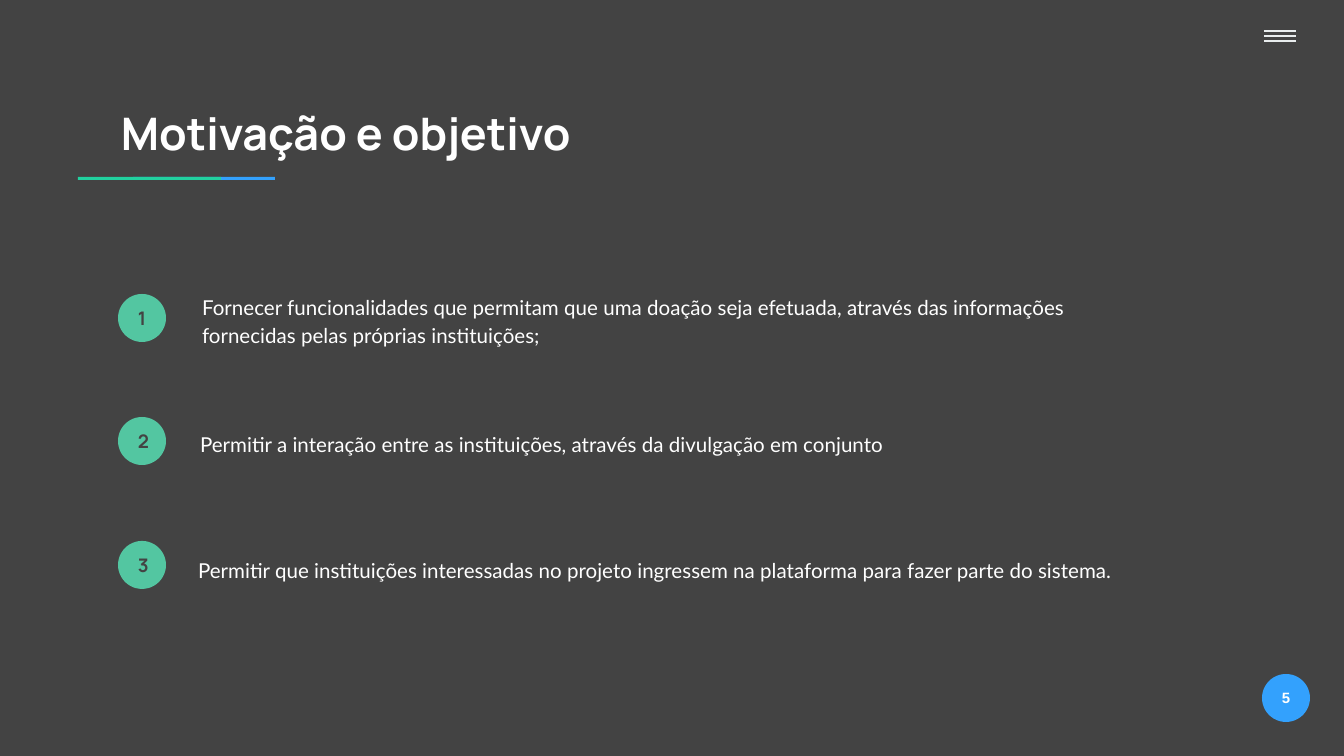
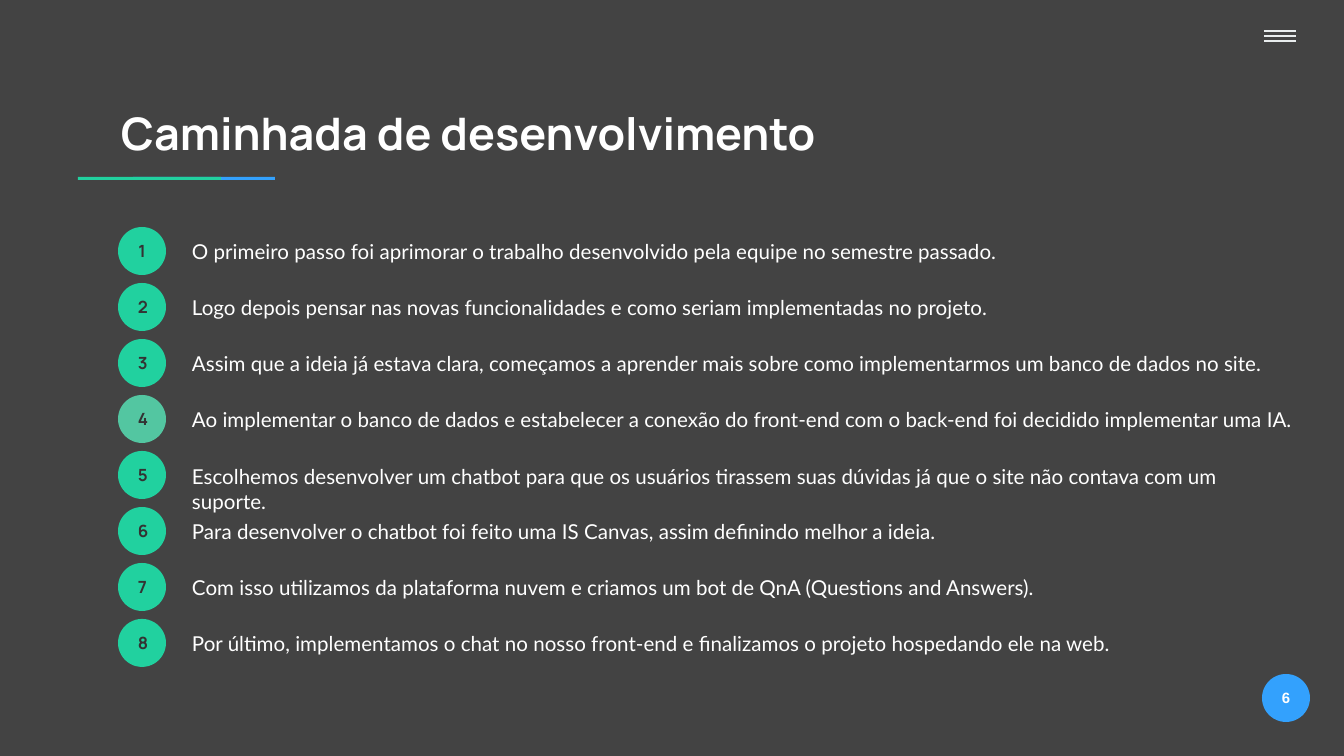
from dataclasses import dataclass

from lxml.etree import SubElement
from pptx import Presentation
from pptx.dml.color import RGBColor
from pptx.enum.shapes import MSO_CONNECTOR as Connector, MSO_SHAPE as Shape
from pptx.enum.text import MSO_ANCHOR as Anchor, MSO_AUTO_SIZE as AutoSize, PP_ALIGN as Align
from pptx.oxml.ns import qn
from pptx.util import Emu, Pt

WIDTH, HEIGHT = 1344, 756
SCALE = 9144000 / WIDTH


def px(length):
    return Emu(round(length * SCALE))


@dataclass(frozen=True)
class Theme:
    ground: str = "434343"
    ink: str = "333333"
    white: str = "FFFFFF"
    menu: str = "E9EDEE"
    blue: str = "33A1FD"
    green: str = "21D19F"
    soft_green: str = "53C6A1"
    heading_font: str = "Manrope"
    body_font: str = "Lato"
    page_font: str = "Arial"
    title_size: int = 24
    body_size: int = 11
    goal_size: int = 10
    step_size: int = 9
    page_size: int = 8
    inset: int = 13
    disc: int = 48


def write(shape, text, *, font, size, color, bold=False, align=Align.LEFT,
          anchor=Anchor.TOP, inset=13, indent=0, spacing=None, after=None, grow=False):
    frame = shape.text_frame
    frame.word_wrap = True
    frame.auto_size = AutoSize.SHAPE_TO_FIT_TEXT if grow else AutoSize.NONE
    frame.vertical_anchor = anchor
    frame.margin_left = frame.margin_right = px(inset)
    frame.margin_top = frame.margin_bottom = px(inset)
    paragraph = frame.paragraphs[0]
    paragraph.alignment = align
    if indent:
        properties = paragraph._p.get_or_add_pPr()
        properties.set("marL", str(px(indent)))
        properties.set("indent", "0")
    if spacing:
        paragraph.line_spacing = spacing
    if after:
        paragraph.space_after = Pt(after)
    run = paragraph.add_run()
    run.text = text
    run.font.name = font
    run.font.size = Pt(size)
    run.font.bold = bold
    run.font.color.rgb = RGBColor.from_string(color)


class Deck:
    def __init__(self, theme):
        self.theme = theme
        self.presentation = Presentation()
        self.presentation.slide_width = px(WIDTH)
        self.presentation.slide_height = px(HEIGHT)
        self.slide = None

    def start(self, title, page):
        theme = self.theme
        self.slide = self.presentation.slides.add_slide(self.presentation.slide_layouts[6])
        background = self.slide.background.fill
        background.solid()
        background.fore_color.rgb = RGBColor.from_string(theme.ground)
        self.block(Shape.RECTANGLE, 133, 177, 142, 3, theme.blue)
        self.block(Shape.RECTANGLE, 78, 177, 143, 3, theme.green)
        self.block(Shape.RECTANGLE, 1218, 0, 126, 67, theme.ground)
        for row in range(3):
            self.rule(1264, 1296, 31 + 5 * row)
        self.text(title, 108, 93, 1130, 79, font=theme.heading_font,
                  size=theme.title_size, bold=True)
        self.disc(page, 1262, 674, theme.blue, font=theme.page_font,
                  size=theme.page_size, color=theme.white)

    def block(self, kind, left, top, width, height, fill):
        shape = self.slide.shapes.add_shape(kind, px(left), px(top), px(width), px(height))
        shape.shadow.inherit = False
        shape.fill.solid()
        shape.fill.fore_color.rgb = RGBColor.from_string(fill)
        shape.line.fill.background()
        return shape

    def rule(self, start, end, top):
        line = self.slide.shapes.add_connector(
            Connector.STRAIGHT, px(start), px(top), px(end), px(top))
        line.line.color.rgb = RGBColor.from_string(self.theme.menu)
        line.line.width = Pt(0.75)
        SubElement(line._element.spPr, qn("a:effectLst"))

    def disc(self, number, left, top, fill, **style):
        size = self.theme.disc
        shape = self.block(Shape.OVAL, left, top, size, size, fill)
        write(shape, str(number), bold=True, align=Align.CENTER, anchor=Anchor.MIDDLE,
              inset=self.theme.inset, **style)

    def marker(self, number, top, fill, size, color):
        self.disc(number, 118, top, fill, font=self.theme.heading_font, size=size, color=color)

    def text(self, content, left, top, width, height, **style):
        box = self.slide.shapes.add_textbox(px(left), px(top), px(width), px(height))
        write(box, content, color=self.theme.white, inset=self.theme.inset, **style)

    def body(self, content, left, top, width, height, **style):
        self.text(content, left, top, width, height, font=self.theme.body_font,
                  size=self.theme.body_size, grow=True, **style)

    def save(self):
        self.presentation.save("out.pptx")


GOALS = [
    (122, 278, 81, "Fornecer funcionalidades que permitam que uma doação seja efetuada, "
                   "através das informações fornecidas pelas próprias instituições;"),
    (120, 415, 52, "Permitir a interação entre as instituições, através da divulgação em conjunto"),
    (118, 541, 52, "Permitir que instituições interessadas no projeto ingressem na plataforma "
                   "para fazer parte do sistema."),
]

STEPS = [
    "O primeiro passo foi aprimorar o trabalho desenvolvido pela equipe no semestre passado.",
    "Logo depois pensar nas novas funcionalidades e como seriam implementadas no projeto.",
    "Assim que a ideia já estava clara, começamos a aprender mais sobre como "
    "implementarmos um banco de dados no site.",
    "Ao implementar o banco de dados e estabelecer a conexão do front-end com o "
    "back-end foi decidido implementar uma IA.",
    "Escolhemos desenvolver um chatbot para que os usuários tirassem suas dúvidas "
    "já que o site não contava com um suporte.",
    "Para desenvolver o chatbot foi feito uma IS Canvas, assim definindo melhor a ideia.",
    "Com isso utilizamos da plataforma nuvem e criamos um bot de QnA (Questions and Answers).",
    "Por último, implementamos o chat no nosso front-end e finalizamos o projeto "
    "hospedando ele na web.",
]
AI_STEP = 4


def add_goals(deck):
    theme = deck.theme
    deck.start("Motivação e objetivo", 5)
    for index, (left, top, height, goal) in enumerate(GOALS):
        deck.marker(index + 1, 294 + 247 * index // 2, theme.soft_green,
                    theme.goal_size, theme.ground)
        deck.body(goal, left, top, 1051, height, indent=67, spacing=1.15, after=16)


def add_steps(deck):
    theme = deck.theme
    deck.start("Caminhada de desenvolvimento", 6)
    for index, step in enumerate(STEPS):
        top = 227 + 56 * index
        number = index + 1
        fill = theme.soft_green if number == AI_STEP else theme.green
        deck.marker(number, top, fill, theme.step_size, theme.ink)
        deck.body(step, 179, top, 1130, 52)


def main():
    deck = Deck(Theme())
    add_goals(deck)
    add_steps(deck)
    deck.save()


if __name__ == "__main__":
    main()
